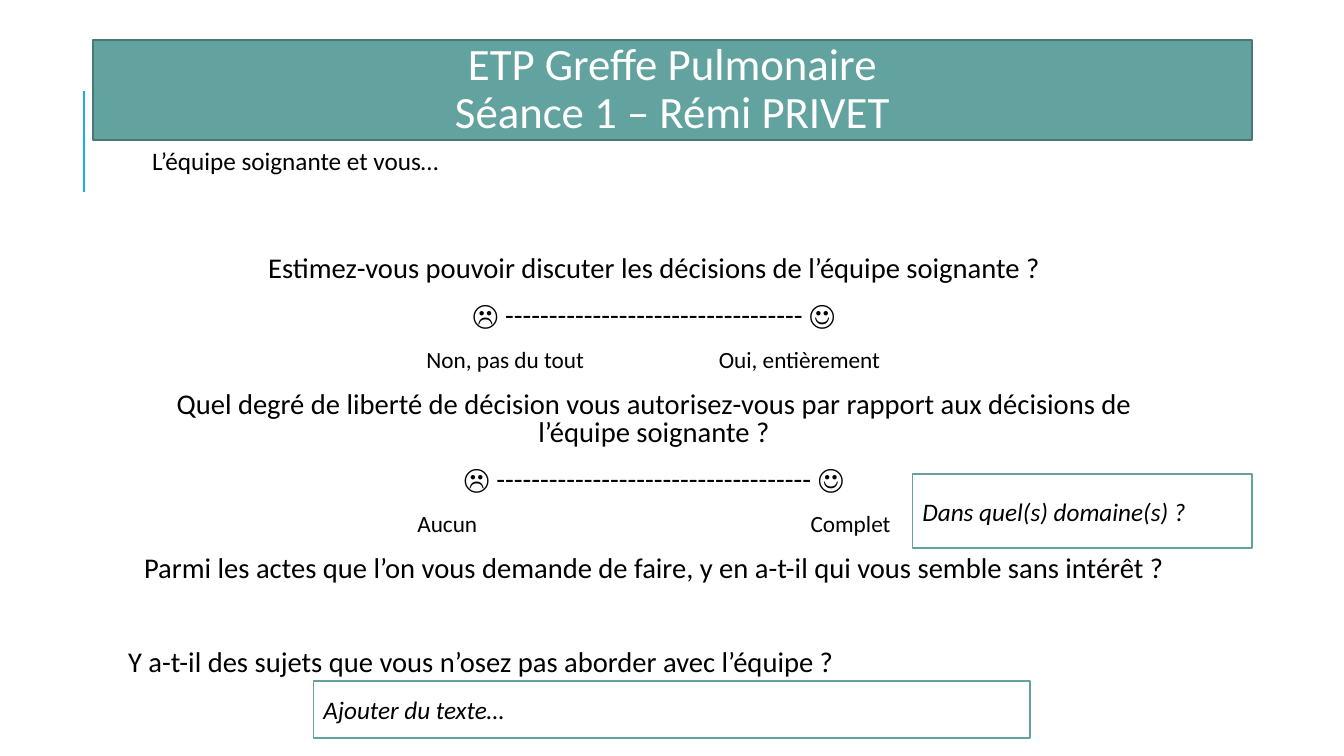
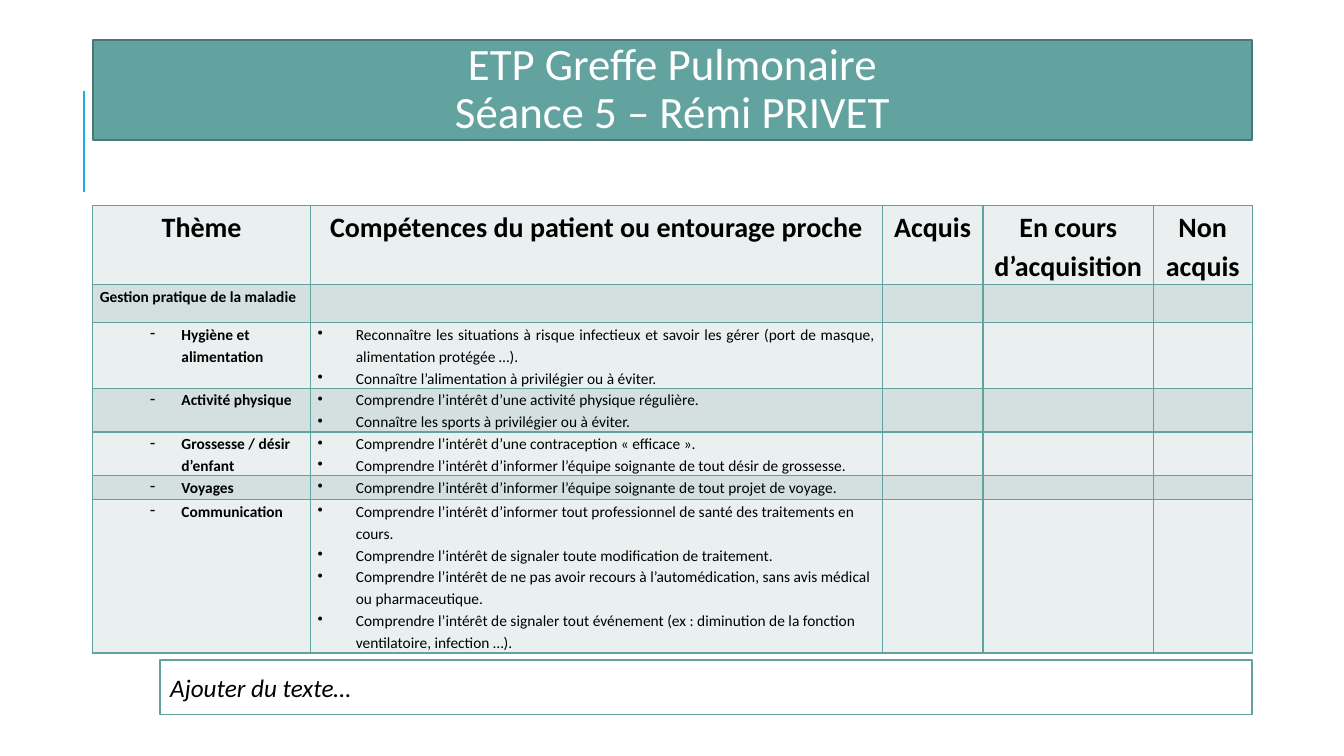
"""Build two patient-education slides: a discussion scale and a skills table."""
from lxml import etree
from pptx import Presentation
from pptx import util as u
from pptx.dml.color import RGBColor
from pptx.enum import shapes, text
from pptx.oxml import ns

COLORS = {
    "teal": "62A39F", "teal_dark": "497976", "accent": "1CADE4",
    "pale": "EAF0F0", "band": "D3E0DF", "white": "FFFFFF", "black": "000000",
}
FONT = "Calibri"
LEFT, WIDTH = 0.92, 11.5
CENTER, JUSTIFY = text.PP_ALIGN.CENTER, text.PP_ALIGN.JUSTIFY


def write(paragraph, content, size, color="black", bold=False, italic=False,
          indent=None, bullet=None, tabs=(), **formats):
    """Write one formatted paragraph, with optional bullet and tab stops."""
    properties = paragraph._p.get_or_add_pPr()
    if indent:
        for name, value in zip(("marL", "indent"), indent):
            properties.set(name, str(u.Inches(value)))
    if bullet:
        etree.SubElement(properties, ns.qn("a:buChar"), char=bullet)
    if tabs:
        tab_list = etree.SubElement(properties, ns.qn("a:tabLst"))
        for position in tabs:
            etree.SubElement(tab_list, ns.qn("a:tab"), pos=str(u.Inches(position)), algn="l")
    for name, value in formats.items():
        setattr(paragraph, name, value)
    if not content:
        etree.SubElement(paragraph._p, ns.qn("a:endParaRPr"), sz=str(size * 100))
        return
    run = paragraph.add_run()
    run.text = content
    font_formats = {"name": FONT, "size": u.Pt(size), "bold": bold, "italic": italic}
    for name, value in font_formats.items():
        setattr(run.font, name, value)
    run.font.color.rgb = RGBColor.from_string(COLORS[color])


def paint(shape, fill, line):
    """Give a shape its fill, outline and middle-anchored text."""
    shape.fill.solid()
    shape.fill.fore_color.rgb = RGBColor.from_string(COLORS[fill])
    shape.line.color.rgb = RGBColor.from_string(COLORS[line])
    shape.line.width = u.Pt(1.25)
    shape.shadow.inherit = False
    frame_formats = {"word_wrap": True, "auto_size": text.MSO_AUTO_SIZE.NONE,
                     "vertical_anchor": text.MSO_ANCHOR.MIDDLE}
    for name, value in frame_formats.items():
        setattr(shape.text_frame, name, value)


presentation = Presentation()
presentation.slide_width = u.Inches(13.33)
presentation.slide_height = u.Inches(7.5)

slides = []
for session in (1, 5):
    slide = presentation.slides.add_slide(presentation.slide_layouts[5])
    slides.append(slide)
    accent = slide.shapes.add_connector(
        shapes.MSO_CONNECTOR.STRAIGHT, *map(u.Inches, (0.83, 1.9, 0.83, 0.9)))
    accent.line.color.rgb = RGBColor.from_string(COLORS["accent"])
    accent.line.width = u.Pt(1.5)
    etree.SubElement(accent._element.spPr, ns.qn("a:effectLst"))
    title = slide.shapes.title
    title_place = {"left": LEFT, "top": 0.4, "width": WIDTH, "height": 0.99}
    for name, value in title_place.items():
        setattr(title, name, u.Inches(value))
    paint(title, "teal", "teal_dark")
    frame = title.text_frame
    for paragraph, content in (
            (frame.paragraphs[0], "ETP Greffe Pulmonaire"),
            (frame.add_paragraph(), f"Séance {session} – Rémi PRIVET")):
        write(paragraph, content, 32, "white", alignment=CENTER, line_spacing=0.9)
scale_slide, skills_slide = slides

questions = scale_slide.shapes.add_textbox(*map(u.Inches, (1.12, 2.5, 10.63, 4.4)))
frame = questions.text_frame
frame.word_wrap = True
for side in ("left", "right", "top", "bottom"):
    setattr(frame, f"margin_{side}", u.Inches(0.05))
centered = {"size": 20.4, "alignment": CENTER, "indent": (0.1, 0)}
question_lines = [
    ("Estimez-vous pouvoir discuter les décisions de l’équipe soignante ?", centered),
    ("☹ ---------------------------------- ☺", centered),
    ("\tNon, pas du tout\tOui, entièrement", {"size": 16.6, "tabs": (3.06, 5.96)}),
    ("Quel degré de liberté de décision vous autorisez-vous par rapport aux décisions "
     "de l’équipe soignante ?", centered),
    ("☹ ------------------------------------ ☺", centered),
    ("\tAucun\tComplet", {"size": 16.6, "tabs": (2.97, 6.87)}),
    ("Parmi les actes que l’on vous demande de faire, y en a-t-il qui vous semble "
     "sans intérêt ?", centered),
    ("Y a-t-il des sujets que vous n’osez pas aborder avec l’équipe ?",
     {"size": 20.4, "indent": (0.1, 0), "space_before": u.Pt(46)}),
]
for index, (content, formats) in enumerate(question_lines):
    paragraph = frame.add_paragraph() if index else frame.paragraphs[0]
    spacing = {"line_spacing": 0.8, "space_before": u.Pt(12 if index else 0),
               "space_after": u.Pt(2)}
    write(paragraph, content, **{**spacing, **formats})

subtitle = scale_slide.shapes.add_textbox(*map(u.Inches, (1.41, 1.39, 4.09, 0.4)))
subtitle.text_frame.word_wrap = True
write(subtitle.text_frame.paragraphs[0], "L’équipe soignante et vous…", 18)

headers = ["Thème", "Compétences du patient ou entourage proche", "Acquis",
           "En cours d’acquisition", "Non acquis"]
themes = [
    ("Gestion pratique de la maladie", [""]),
    ("Hygiène et alimentation", [
        "Reconnaître les situations à risque infectieux et savoir les gérer "
        "(port de masque, alimentation protégée …).",
        "Connaître l’alimentation à privilégier ou à éviter."]),
    ("Activité physique", [
        "Comprendre l’intérêt d’une activité physique régulière.",
        "Connaître les sports à privilégier ou à éviter."]),
    ("Grossesse / désir d’enfant", [
        "Comprendre l’intérêt d’une contraception « efficace ».",
        "Comprendre l’intérêt d’informer l’équipe soignante de tout désir de grossesse."]),
    ("Voyages", [
        "Comprendre l’intérêt d’informer l’équipe soignante de tout projet de voyage."]),
    ("Communication", [
        "Comprendre l’intérêt d’informer tout professionnel de santé des traitements en cours.",
        "Comprendre l’intérêt de signaler toute modification de traitement.",
        "Comprendre l’intérêt de ne pas avoir recours à l’automédication, sans avis médical "
        "ou pharmaceutique.",
        "Comprendre l’intérêt de signaler tout événement (ex : diminution de la fonction "
        "ventilatoire, infection …)."]),
]
rows = [[[header] for header in headers]]
rows += [[[theme], skills, [""], [""], [""]] for theme, skills in themes]
column_widths = [2.16, 5.67, 1, 1.69, 0.98]
row_heights = [0.78, 0.38, 0.65, 0.43, 0.43, 0.24, 1.52]
table = skills_slide.shapes.add_table(
    len(rows), len(headers),
    *map(u.Inches, (LEFT, 2.04, WIDTH, sum(row_heights)))).table
table.first_row = table.horz_banding = False
for column, width in zip(table.columns, column_widths):
    column.width = u.Inches(width)
for row, height in zip(table.rows, row_heights):
    row.height = u.Inches(height)

for row_index, row in enumerate(rows):
    for column_index, contents in enumerate(row):
        cell = table.cell(row_index, column_index)
        cell_margins = {"left": 0.07, "right": 0.07, "top": 0, "bottom": 0}
        for side, value in cell_margins.items():
            setattr(cell, f"margin_{side}", u.Inches(value))
        cell_properties = cell._tc.get_or_add_tcPr()
        for edge in ("lnL", "lnR", "lnT", "lnB"):
            border = etree.SubElement(cell_properties, ns.qn(f"a:{edge}"), w=str(u.Pt(1)))
            solid = etree.SubElement(border, ns.qn("a:solidFill"))
            etree.SubElement(solid, ns.qn("a:srgbClr"), val=COLORS["teal"])
        cell.fill.solid()
        cell.fill.fore_color.rgb = RGBColor.from_string(
            COLORS["band" if row_index % 2 else "pale"])

        formats = {"size": 11, "line_spacing": 1.15, "bold": column_index == 0}
        if row_index == 0:
            formats.update(size=20, bold=True, alignment=CENTER)
        elif row_index > 1 and column_index == 0:
            formats.update(indent=(0.81, -0.31), bullet="-")
        elif row_index > 1 and column_index == 1:
            formats.update(indent=(0.38, -0.38), bullet="•")
            if row_index < len(rows) - 1:
                formats["alignment"] = JUSTIFY
        for index, content in enumerate(contents):
            frame = cell.text_frame
            paragraph = frame.add_paragraph() if index else frame.paragraphs[0]
            write(paragraph, content, **formats)

answer_boxes = [
    (scale_slide, "Ajouter du texte…", (3.11, 6.76, 7.11, 0.56)),
    (scale_slide, "Dans quel(s) domaine(s) ?", (9.05, 4.7, 3.37, 0.74)),
    (skills_slide, "Ajouter du texte…", (1.59, 6.55, 10.83, 0.54)),
]
for slide, prompt, place in answer_boxes:
    box = slide.shapes.add_shape(shapes.MSO_SHAPE.RECTANGLE, *map(u.Inches, place))
    paint(box, "white", "teal")
    write(box.text_frame.paragraphs[0], prompt, 18, italic=True,
          alignment=text.PP_ALIGN.LEFT)

presentation.save("out.pptx")
